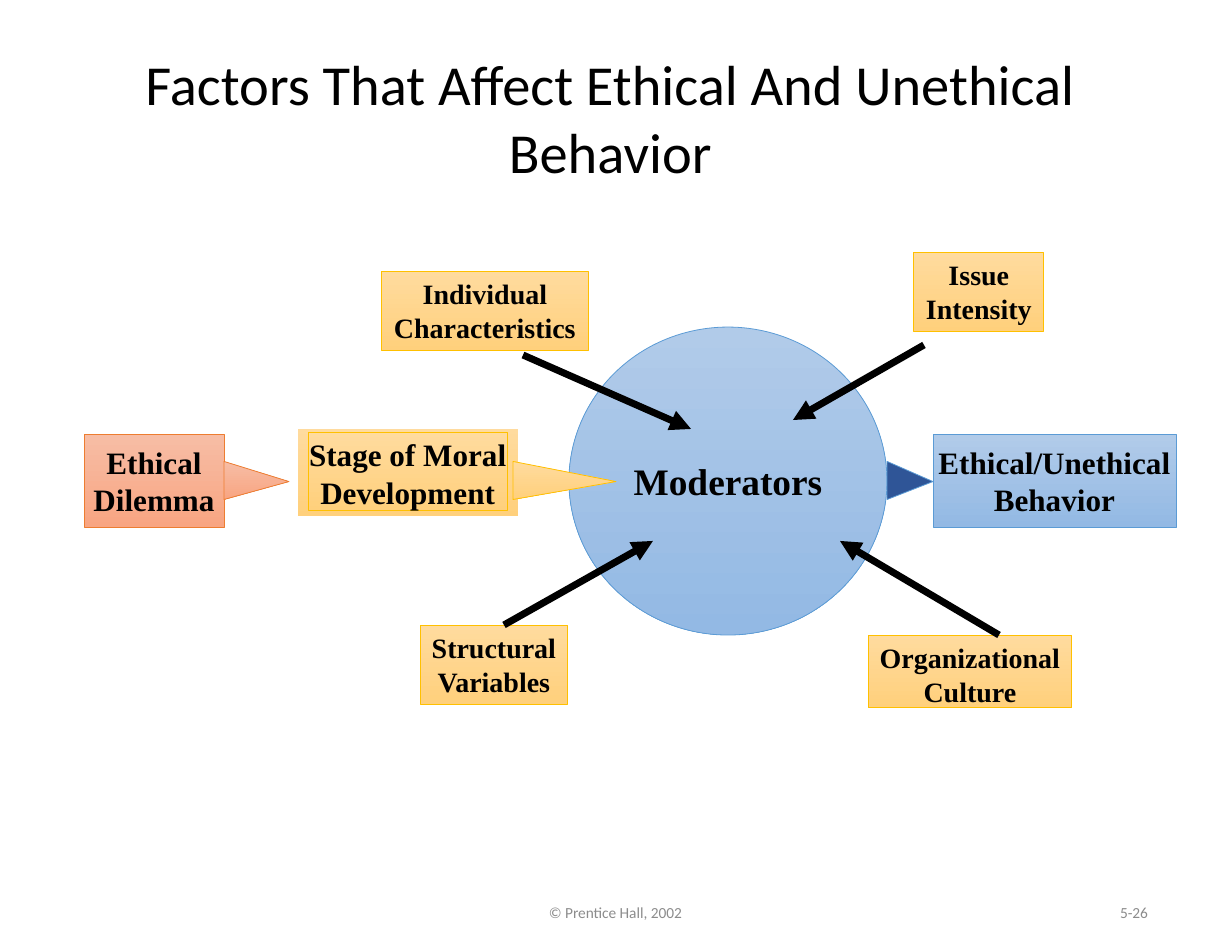
import pptx
import pptx.util
import pptx.dml.color
import pptx.enum.shapes
import pptx.enum.text
from lxml import etree
from pptx.oxml.ns import qn

Inches = pptx.util.Inches
Pt = pptx.util.Pt
RGBColor = pptx.dml.color.RGBColor
SHAPE = pptx.enum.shapes.MSO_SHAPE
ALIGN = pptx.enum.text.PP_ALIGN
ANCHOR = pptx.enum.text.MSO_ANCHOR

BLACK = RGBColor(0x00, 0x00, 0x00)
GREY = RGBColor(0x8C, 0x8C, 0x8C)
NAVY = RGBColor(0x2F, 0x55, 0x97)
ORANGE_LINE = RGBColor(0xED, 0x7D, 0x31)
BLUE_LINE = RGBColor(0x5B, 0x9B, 0xD5)
GOLD_LINE = RGBColor(0xFF, 0xC0, 0x00)
# Gradients: top and bottom colour
ORANGE = (RGBColor(0xF7, 0xBD, 0xA5), RGBColor(0xF8, 0xA5, 0x82))
BLUE = (RGBColor(0xB1, 0xCB, 0xE9), RGBColor(0x93, 0xB9, 0xE4))
GOLD = (RGBColor(0xFF, 0xDB, 0x9E), RGBColor(0xFF, 0xD0, 0x7C))

# text, left, top, width, height, text inset from the top, size, fill, line
STAGES = [
    ("Ethical\vDilemma", 0.75, 3.88, 1.25, 0.83, 0.08, 20, ORANGE, ORANGE_LINE),
    ("Stage of Moral\vDevelopment", 2.75, 3.86, 1.78, 0.7, 0.03, 20, GOLD, GOLD_LINE),
    ("Ethical/Unethical\vBehavior", 8.33, 3.88, 2.17, 0.83, 0.08, 20, BLUE, BLUE_LINE),
]
MODERATORS = [
    ("Organizational\vCulture", 7.75, 5.67, 1.82, 0.65),
    ("Structural\vVariables", 3.75, 5.58, 1.32, 0.71),
    ("Individual\vCharacteristics", 3.41, 2.42, 1.84, 0.71),
    ("Issue\vIntensity", 8.16, 2.25, 1.16, 0.71),
]
# left, right, fill, line
POINTERS = [
    (2, 2.58, ORANGE, ORANGE_LINE),
    (4.58, 5.5, GOLD, GOLD_LINE),
    (7.92, 8.33, NAVY, BLUE_LINE),
]
# from x, from y, to x, to y
ARROWS = [
    (4.5, 5.58, 5.83, 4.83),
    (4.67, 3.17, 6.17, 3.83),
    (8.25, 3.08, 7.08, 3.75),
    (8.92, 5.67, 7.5, 4.83),
]


def style(sp, fill, line):
    """Fill with a colour or a (top, bottom) gradient; line may be None."""
    sp.shadow.inherit = False
    if isinstance(fill, RGBColor):
        sp.fill.solid()
        sp.fill.fore_color.rgb = fill
    else:
        sp.fill.gradient()
        sp.fill.gradient_angle = 270
        for stop, color in zip(sp.fill.gradient_stops, fill):
            stop.color.rgb = color
    if line is None:
        sp.line.fill.background()
    else:
        sp.line.color.rgb = line
        sp.line.width = Pt(0.5)


def write(sp, text, size, font, color=BLACK, bold=False, align=ALIGN.CENTER,
          anchor=ANCHOR.MIDDLE, inset=0, wrap=True):
    tf = sp.text_frame
    tf.word_wrap = wrap
    tf.auto_size = pptx.enum.text.MSO_AUTO_SIZE.NONE
    tf.vertical_anchor = anchor
    tf.margin_left = tf.margin_right = tf.margin_bottom = 0
    tf.margin_top = Inches(inset)
    p = tf.paragraphs[0]
    p.text = text
    p.alignment = align
    for r in p.runs:
        r.font.size = Pt(size)
        r.font.name = font
        r.font.bold = bold
        r.font.color.rgb = color


def add_panel(s, kind, left, top, width, height, fill, line):
    sp = s.shapes.add_shape(kind, Inches(left), Inches(top), Inches(width), Inches(height))
    style(sp, fill, line)
    return sp


def add_box(s, text, left, top, width, height, inset, size, fill, line):
    sp = add_panel(s, SHAPE.RECTANGLE, left, top, width, height, fill, line)
    write(sp, text, size, "Times New Roman", bold=True,
          anchor=ANCHOR.TOP, inset=inset, wrap=False)


def add_pointer(s, left, right, fill, line):
    """Triangle on the middle row, pointing right."""
    fb = s.shapes.build_freeform(Inches(left), Inches(4.12))
    fb.add_line_segments([(Inches(left), Inches(4.46)), (Inches(right), Inches(4.3))])
    style(fb.convert_to_shape(), fill, line)


def add_arrow(s, *ends):
    c = s.shapes.add_connector(pptx.enum.shapes.MSO_CONNECTOR.STRAIGHT,
                               *[Inches(v) for v in ends])
    c.line.color.rgb = BLACK
    c.line.width = Pt(4.5)
    etree.SubElement(c.line._get_or_add_ln(), qn("a:tailEnd"), type="triangle")
    etree.SubElement(c._element.spPr, qn("a:effectLst"))


def add_footer(s, text, left, width, align):
    sp = s.shapes.add_textbox(Inches(left), Inches(7.92), Inches(width), Inches(0.45))
    write(sp, text, 9.9, "Calibri", GREY, align=align)


def add_title(s, text):
    sp = s.shapes.title
    sp.left, sp.top, sp.width, sp.height = [Inches(v) for v in (1.18, 0.43, 8.54, 1.23)]
    write(sp, text, 36.3, "Calibri")


def main():
    prs = pptx.Presentation()
    prs.slide_width, prs.slide_height = Inches(11), Inches(8.5)
    s = prs.slides.add_slide(prs.slide_layouts[5])

    add_title(s, "Factors That Affect Ethical And Unethical Behavior")
    add_footer(s, "© Prentice Hall, 2002", 3.64, 3.71, ALIGN.CENTER)
    add_footer(s, "5-26", 7.77, 2.48, ALIGN.RIGHT)

    circle = add_panel(s, SHAPE.OVAL, 5.08, 2.92, 2.84, 2.75, BLUE, BLUE_LINE)
    write(circle, "Moderators", 24, "Times New Roman", bold=True, wrap=False)
    add_panel(s, SHAPE.RECTANGLE, 2.66, 3.83, 1.97, 0.78, GOLD, None)

    for stage in STAGES:
        add_box(s, *stage)
    for pointer in POINTERS:
        add_pointer(s, *pointer)
    for moderator in MODERATORS:
        add_box(s, *moderator, 0.05, 18, GOLD, GOLD_LINE)
    for arrow in ARROWS:
        add_arrow(s, *arrow)

    prs.save("out.pptx")


if __name__ == "__main__":
    main()
